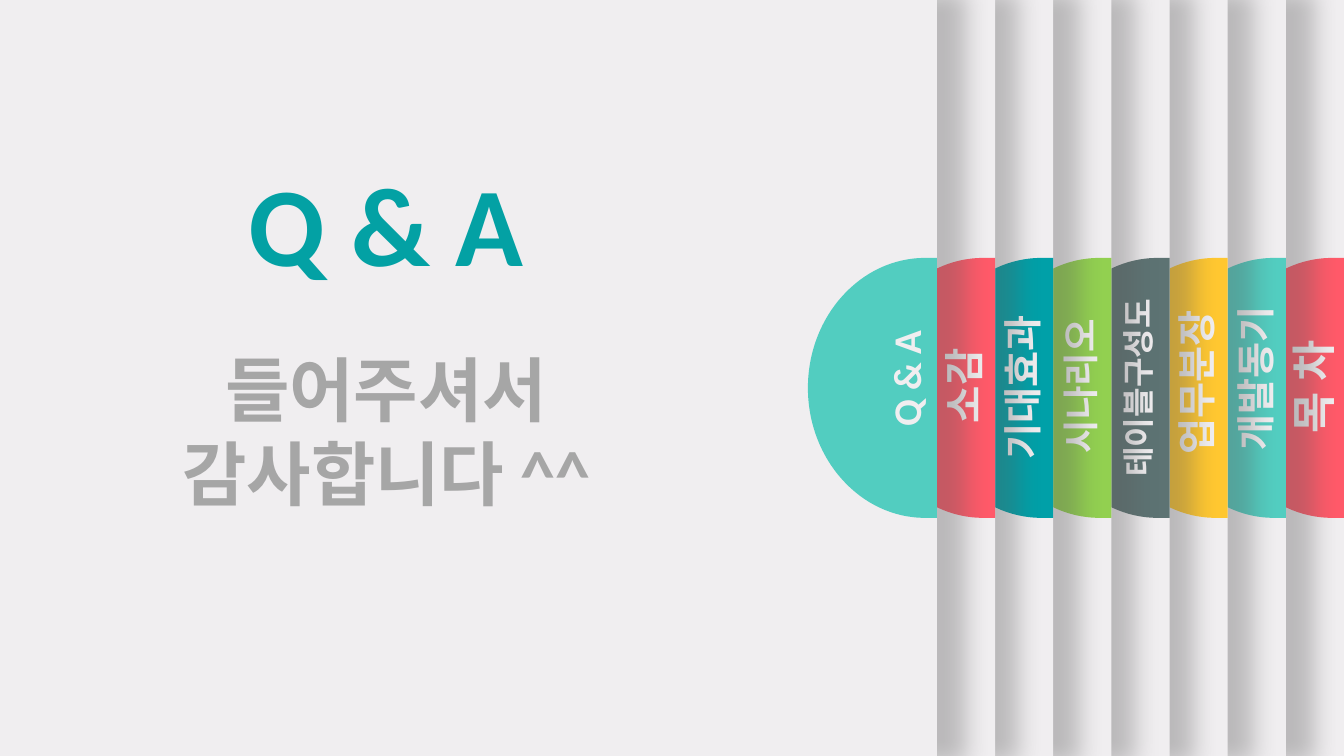
from lxml import etree
from pptx import Presentation
from pptx.dml.color import RGBColor
from pptx.enum import shapes, text
from pptx.oxml import ns
from pptx.util import Cm, Pt

# Content: tabs from back to front
# (label, colour, type size, label centre in cm, left edge of the sheet in cm)
TABS = [
    ("목 차", "coral", 32, 9.75, -0.84),
    ("개발동기", "mint", 28, 9.54, 0.58),
    ("업무분장", "yellow", 28, 9.64, 3.23),
    ("테이블구성도", "slate", 23, 9.77, 2.84),
    ("시나리오", "green", 26, 9.73, 3.81),
    ("기대효과", "teal", 28, 9.77, -1.07),
    ("소감", "coral", 29, 9.72, 0.91),
    ("Q & A", "mint", 28, 9.54, -8.2),
]
TITLE = "Q & A"
THANKS = "들어주셔서 감사합니다 ^^"

THEME = {
    "font": "Calibri",
    "title_size": 80,
    "thanks_size": 50,
    "paper": "F0EEF0",
    "shadow": "595959",
    "title": "03A1A4",
    "thanks": "A6A6A6",
    "coral": "FF5969",
    "mint": "52CDC0",
    "yellow": "FFC730",
    "slate": "5D7373",
    "green": "92D050",
    "teal": "00A0A8",
}

# Layout in cm
SLIDE_WIDTH, SLIDE_HEIGHT = 33.86, 19.05
TAB_STEP = 1.465
TAB_WIDTH, TAB_TOP, TAB_HEIGHT = 3.25, 6.5, 6.55
SHOULDER = 0.3
LABEL_WIDTH, LABEL_INSET = 5.54, 0.79
ROUNDNESS = 0.55


def color(name):
    return RGBColor.from_string(THEME[name])


def paint(shape, name):
    shape.fill.solid()
    shape.fill.fore_color.rgb = color(name)
    shape.line.fill.background()
    shape.shadow.inherit = False


def add_text(parent, words, box, size, color_name):
    shape = parent.shapes.add_textbox(*(Cm(length) for length in box))
    frame = shape.text_frame
    frame.word_wrap = True
    frame.auto_size = text.MSO_AUTO_SIZE.SHAPE_TO_FIT_TEXT
    frame.text = words
    paragraph = frame.paragraphs[0]
    paragraph.alignment = text.PP_ALIGN.CENTER
    font = paragraph.runs[0].font
    font.name, font.size, font.bold = THEME["font"], Pt(size), True
    font.color.rgb = color(color_name)
    return shape


def add_sheet(group, left, right):
    sheet = group.shapes.add_shape(
        shapes.MSO_SHAPE.RECTANGLE, Cm(left), 0, Cm(right - left), Cm(SLIDE_HEIGHT))
    paint(sheet, "paper")
    # Soft, slightly widened shadow falling to the right
    effects = sheet._element.spPr.find(ns.qn("a:effectLst"))
    shadow = etree.SubElement(
        effects, ns.qn("a:outerShdw"), blurRad=str(Pt(17)), dist=str(Pt(3)),
        dir="0", sx="102000", sy="102000", algn="l", rotWithShape="0")
    shade = etree.SubElement(shadow, ns.qn("a:srgbClr"), val=THEME["shadow"])
    etree.SubElement(shade, ns.qn("a:alpha"), val="35000")


def add_half_disc(group, right, color_name):
    left, shoulder = right - TAB_WIDTH, right - SHOULDER
    bottom, middle = TAB_TOP + TAB_HEIGHT, TAB_TOP + TAB_HEIGHT / 2
    corners = [(right, TAB_TOP), (right, bottom), (shoulder, bottom),
               (left, middle), (shoulder, TAB_TOP)]
    points = [(Cm(x), Cm(y)) for x, y in corners]
    builder = group.shapes.build_freeform(*points[0])
    builder.add_line_segments(points[1:], close=True)
    disc = builder.convert_to_shape()
    paint(disc, color_name)

    # Round the two outer segments into quarter arcs
    reach_x = (shoulder - left) * ROUNDNESS
    reach_y = TAB_HEIGHT / 2 * ROUNDNESS
    arcs = [
        [(shoulder - reach_x, bottom), (left, middle + reach_y), (left, middle)],
        [(left, middle - reach_y), (shoulder - reach_x, TAB_TOP), (shoulder, TAB_TOP)],
    ]
    segments = list(disc._element.iter(ns.qn("a:lnTo")))[2:4]
    for segment, arc in zip(segments, arcs):
        curve = etree.Element(ns.qn("a:cubicBezTo"))
        for x, y in arc:
            etree.SubElement(curve, ns.qn("a:pt"),
                             x=str(Cm(x - left)), y=str(Cm(y - TAB_TOP)))
        segment.getparent().replace(segment, curve)


def add_label(group, words, right, middle, size):
    height = Pt(1.2 * size + 7.2).cm
    left = right - LABEL_INSET - LABEL_WIDTH / 2
    box = (left, middle - height / 2, LABEL_WIDTH, height)
    add_text(group, words, box, size, "paper").rotation = 270


def main():
    presentation = Presentation()
    presentation.slide_width = Cm(SLIDE_WIDTH)
    presentation.slide_height = Cm(SLIDE_HEIGHT)
    slide = presentation.slides.add_slide(presentation.slide_layouts[6])
    slide.background.fill.solid()
    slide.background.fill.fore_color.rgb = color("paper")

    # Stacked sheets, each with its tab
    for index, (words, color_name, size, middle, left) in enumerate(TABS):
        right = SLIDE_WIDTH - index * TAB_STEP
        group = slide.shapes.add_group_shape()
        add_sheet(group, left, right)
        add_half_disc(group, right, color_name)
        add_label(group, words, right, middle, size)

    # Closing message
    add_text(slide, TITLE, (5.54, 3.76, 8.38, 3.68), THEME["title_size"], "title")
    add_text(slide, THANKS, (4.27, 8.61, 10.92, 6.68), THEME["thanks_size"], "thanks")

    presentation.save("out.pptx")


if __name__ == "__main__":
    main()
